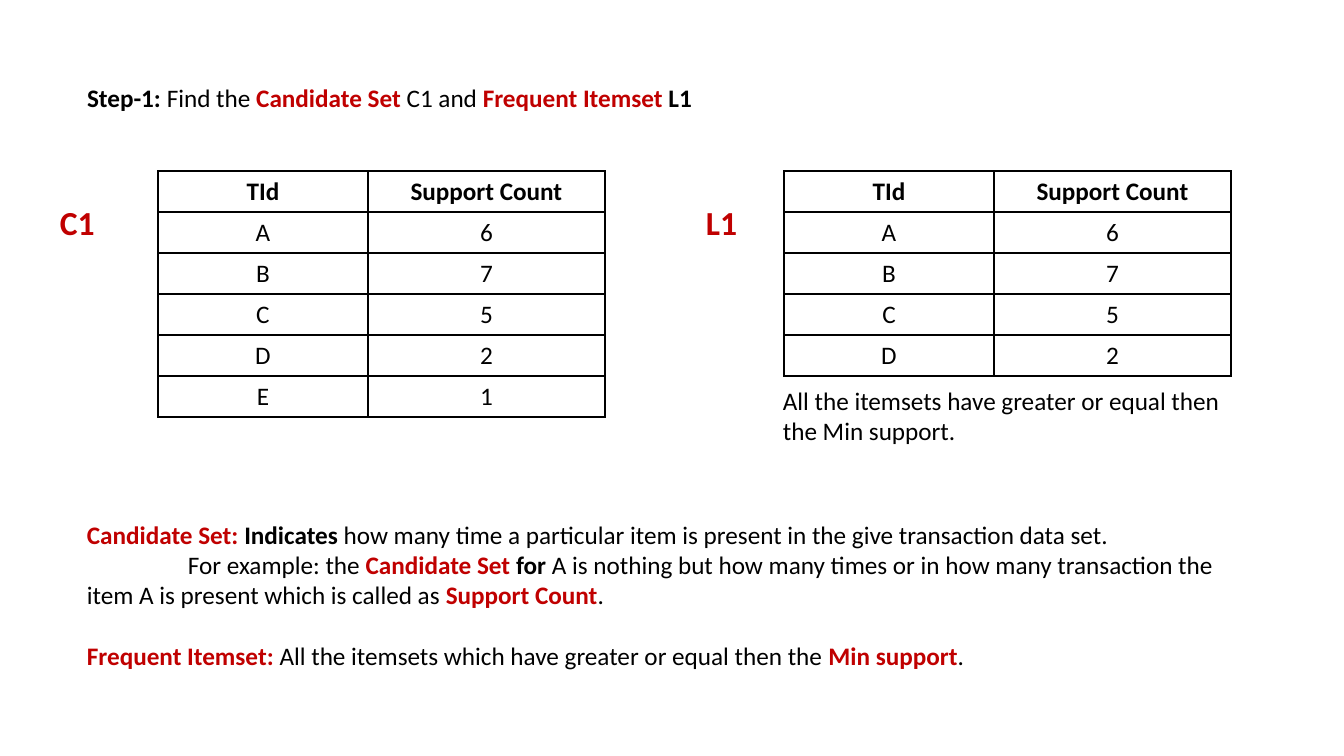
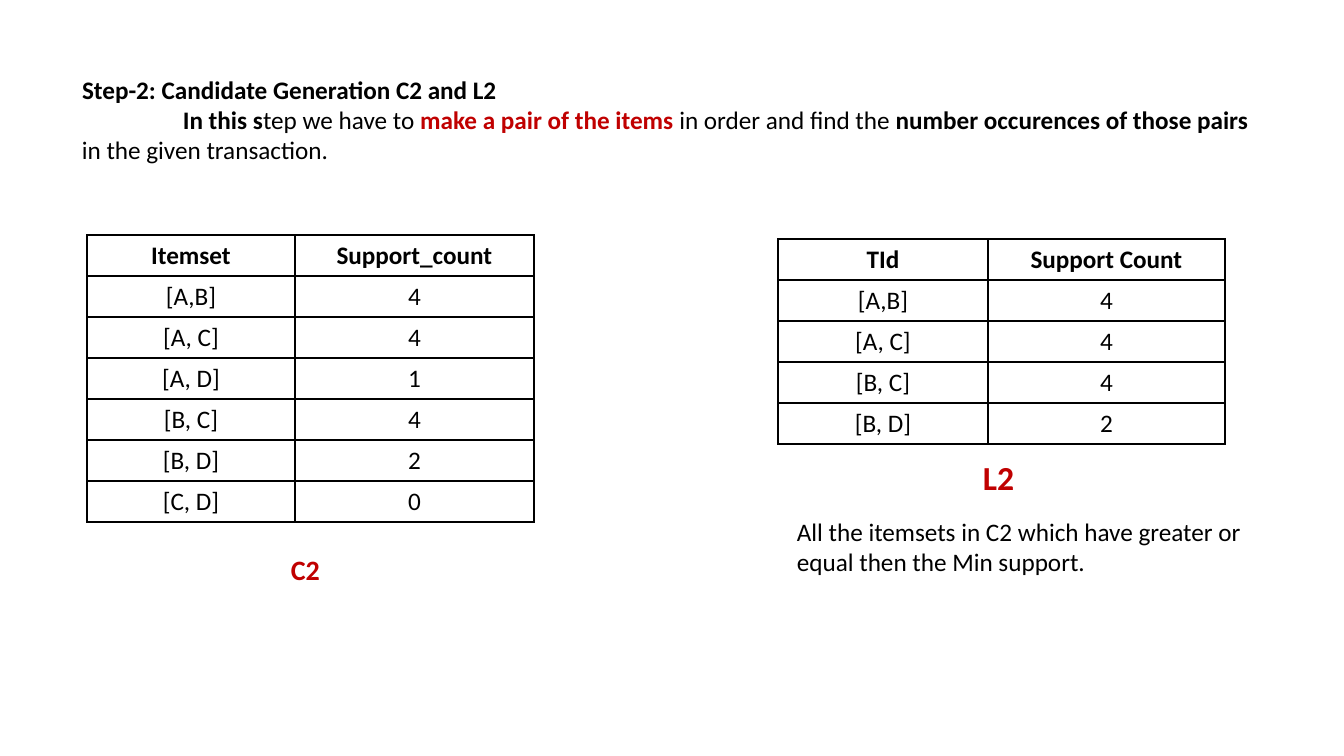
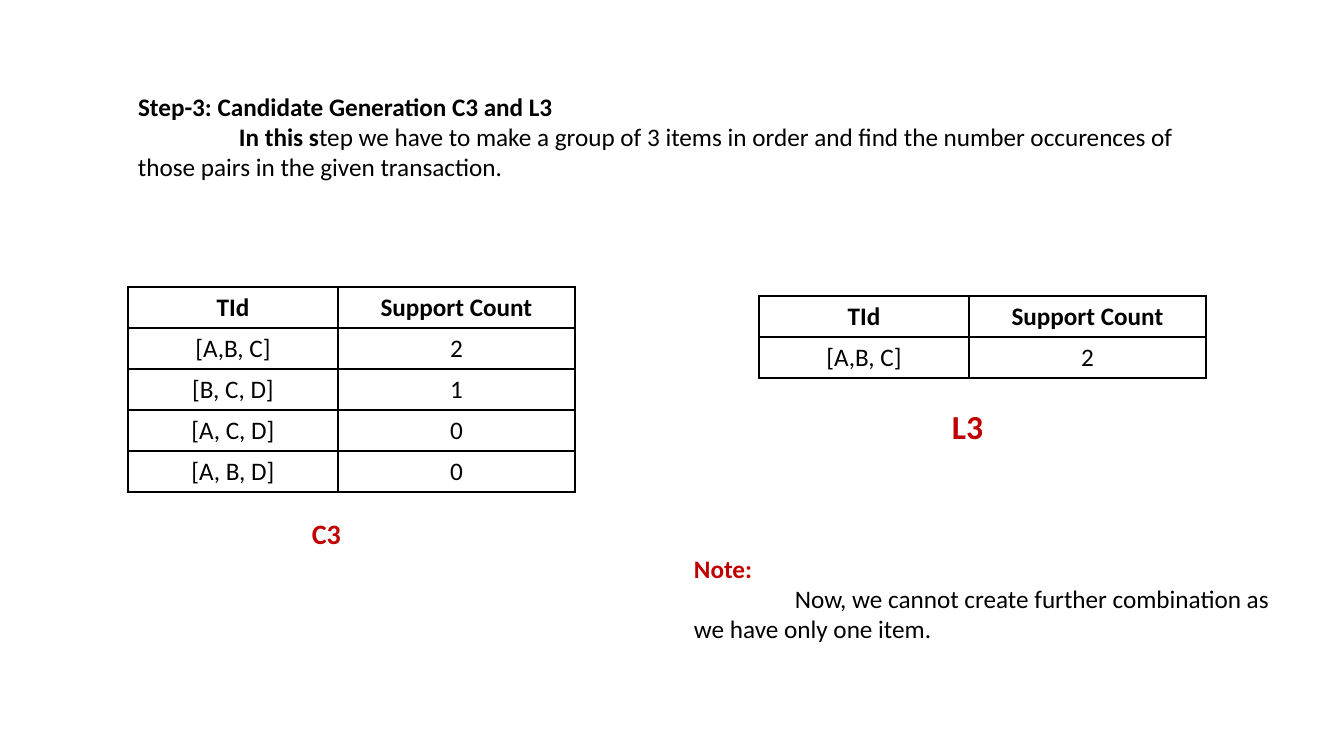
from pptx import Presentation
from pptx.dml.color import RGBColor
from pptx.enum.text import MSO_ANCHOR, MSO_AUTO_SIZE, PP_ALIGN
from pptx.oxml.ns import qn
from pptx.util import Pt
from lxml.etree import SubElement

EMU_PER_PX = 914400 / 100.8
COLORS = {"text": "000000", "key": "C00000", "cell": "FFFFFF", "border": "000000"}
FONT = "Calibri"
BODY_SIZE = 18
LINE_H = 30          # height of one body line, px
ROW_H = 41
INDENT = 101         # first-line indent, px
COLS = (210, 237)
STYLES = {
    "plain": {"bold": False, "color": "text"},
    "bold": {"bold": True, "color": "text"},
    "key": {"bold": True, "color": "key"},
}
LABEL_BOXES = {20: (56, 44), 24: (79, 50)}


def px(n):
    return round(n * EMU_PER_PX)


def bold(text):
    return text, "bold"


def key(text):
    return text, "key"


def add_runs(p, parts, size=BODY_SIZE):
    """Fill a paragraph with plain strings and (text, style) pairs."""
    for part in parts:
        text, style = (part, "plain") if isinstance(part, str) else part
        r = p.add_run()
        r.text = text
        formats = {"name": FONT, "size": Pt(size), "bold": STYLES[style]["bold"]}
        for name, value in formats.items():
            setattr(r.font, name, value)
        r.font.color.rgb = RGBColor.from_string(COLORS[STYLES[style]["color"]])


def fill_text(sp, paragraphs, size=BODY_SIZE, indented=(), spaced=()):
    """Write paragraphs; indented and spaced hold paragraph indexes."""
    tf = sp.text_frame
    formats = {"word_wrap": True, "vertical_anchor": MSO_ANCHOR.TOP,
               "auto_size": MSO_AUTO_SIZE.SHAPE_TO_FIT_TEXT}
    for name, value in formats.items():
        setattr(tf, name, value)
    for i, parts in enumerate(paragraphs):
        p = tf.paragraphs[0] if i == 0 else tf.add_paragraph()
        p.alignment = PP_ALIGN.LEFT
        if i in indented:
            pPr = p._p.get_or_add_pPr()
            pPr.set("marL", "0")
            pPr.set("indent", str(px(INDENT)))
        if i in spaced:
            p.space_before = Pt(22)
        add_runs(p, parts, size)


def add_text(s, box, paragraphs, **options):
    sp = s.shapes.add_textbox(*map(px, box))
    fill_text(sp, paragraphs, **options)


def add_step(prs, left, top, width, heading, intro=None):
    """Start a slide with its step heading and optional instruction."""
    s = prs.slides.add_slide(prs.slide_layouts[5])
    title = s.shapes.title
    title.left, title.top, title.width, title.height = map(px, (left, top, width, 40))
    fill_text(title, [heading])
    if intro:
        add_text(s, (left, top + LINE_H, width, 71), [intro], indented=(0,))
    return s


def style_cell(cell, text, style):
    tcPr = cell._tc.get_or_add_tcPr()
    for side in ("lnL", "lnR", "lnT", "lnB"):
        ln = SubElement(tcPr, qn(f"a:{side}"), w=str(Pt(1)))
        line_fill = SubElement(ln, qn("a:solidFill"))
        SubElement(line_fill, qn("a:srgbClr"), val=COLORS["border"])
    cell.fill.solid()
    cell.fill.fore_color.rgb = RGBColor.from_string(COLORS["cell"])
    p = cell.text_frame.paragraphs[0]
    p.alignment = PP_ALIGN.CENTER
    add_runs(p, [(text, style)])


def add_count_table(s, left, top, rows, label, offset, label_size=24,
                    header=("TId", "Support Count"), cols=COLS):
    """Table of support counts, with its label at an offset from its corner."""
    records = [header, *rows]
    frame = s.shapes.add_table(len(records), len(cols), px(left), px(top),
                               px(sum(cols)), px(ROW_H * len(records)))
    table = frame.table
    table.first_row = table.horz_banding = False
    for column, width in zip(table.columns, cols):
        column.width = px(width)
    for i, record in enumerate(records):
        table.rows[i].height = px(ROW_H)
        for j, text in enumerate(record):
            style_cell(table.cell(i, j), text, "plain" if i else "bold")
    dx, dy = offset
    add_text(s, (left + dx, top + dy, *LABEL_BOXES[label_size]), [[key(label)]],
             size=label_size)


def build_step_1(prs):
    s = add_step(prs, 77, 77, 672, [
        bold("Step-1: "), "Find the ", key("Candidate Set "), "C1 and ",
        key("Frequent Itemset "), bold("L1")])
    counts = list(zip("ABCDE", "67521"))
    add_count_table(s, 158, 171, counts, "C1", (-108, 26))
    add_count_table(s, 784, 171, counts[:4], "L1", (-88, 26))
    add_text(s, (773, 380, 468, 72),
             [["All the itemsets have greater or equal then the Min support."]])
    # Definitions
    add_text(s, (77, 514, 1179, 224), [
        [key("Candidate Set: "), bold("Indicates "),
         "how many time a particular item is present in the give transaction data set."],
        ["For example: the ", key("Candidate Set "), bold("for "),
         "A is nothing but how many times or in how many transaction the item A "
         "is present which is called as ", key("Support Count"), "."],
        [key("Frequent Itemset: "),
         "All the itemsets which have greater or equal then the ",
         key("Min support"), "."],
    ], indented=(1,), spaced=(2,))


def build_step_2(prs):
    s = add_step(prs, 72, 69, 1202, [bold("Step-2: Candidate Generation C2 and L2")], [
        bold("In this s"), "tep we have to ", key("make a pair of the items "),
        "in order and find the ", bold("number occurences of those pairs "),
        "in the given transaction."])
    pairs = [("[A,B]", "4"), ("[A, C]", "4"), ("[A, D]", "1"),
             ("[B, C]", "4"), ("[B, D]", "2"), ("[C, D]", "0")]
    frequent = [pair for pair in pairs if int(pair[1]) >= 2]
    add_count_table(s, 87, 235, pairs, "C2", (194, 313), 20,
                    header=("Itemset", "Support_count"), cols=(208, 239))
    add_count_table(s, 778, 239, frequent, "L2", (195, 213))
    add_text(s, (787, 511, 515, 72), [
        ["All the itemsets in C2 which have greater or equal then the Min support."]])


def build_step_3(prs):
    s = add_step(prs, 128, 86, 1091, [bold("Step-3: Candidate Generation C3 and L3")], [
        bold("In this s"), "tep we have to make a group of 3 items in order and find "
        "the number occurences of those pairs in the given transaction."])
    triples = [("[A,B, C]", "2"), ("[B, C, D]", "1"),
               ("[A, C, D]", "0"), ("[A, B, D]", "0")]
    add_count_table(s, 128, 287, triples, "C3", (174, 225), 20)
    add_count_table(s, 759, 296, triples[:1], "L3", (183, 105))
    # Closing note
    add_text(s, (684, 548, 610, 102), [
        [key("Note:")],
        ["Now, we cannot create further combination as we have only one item."],
    ], indented=(1,))


def main():
    prs = Presentation()
    prs.slide_width, prs.slide_height = px(1344), px(756)
    for build in (build_step_1, build_step_2, build_step_3):
        build(prs)
    prs.save("out.pptx")


if __name__ == "__main__":
    main()
